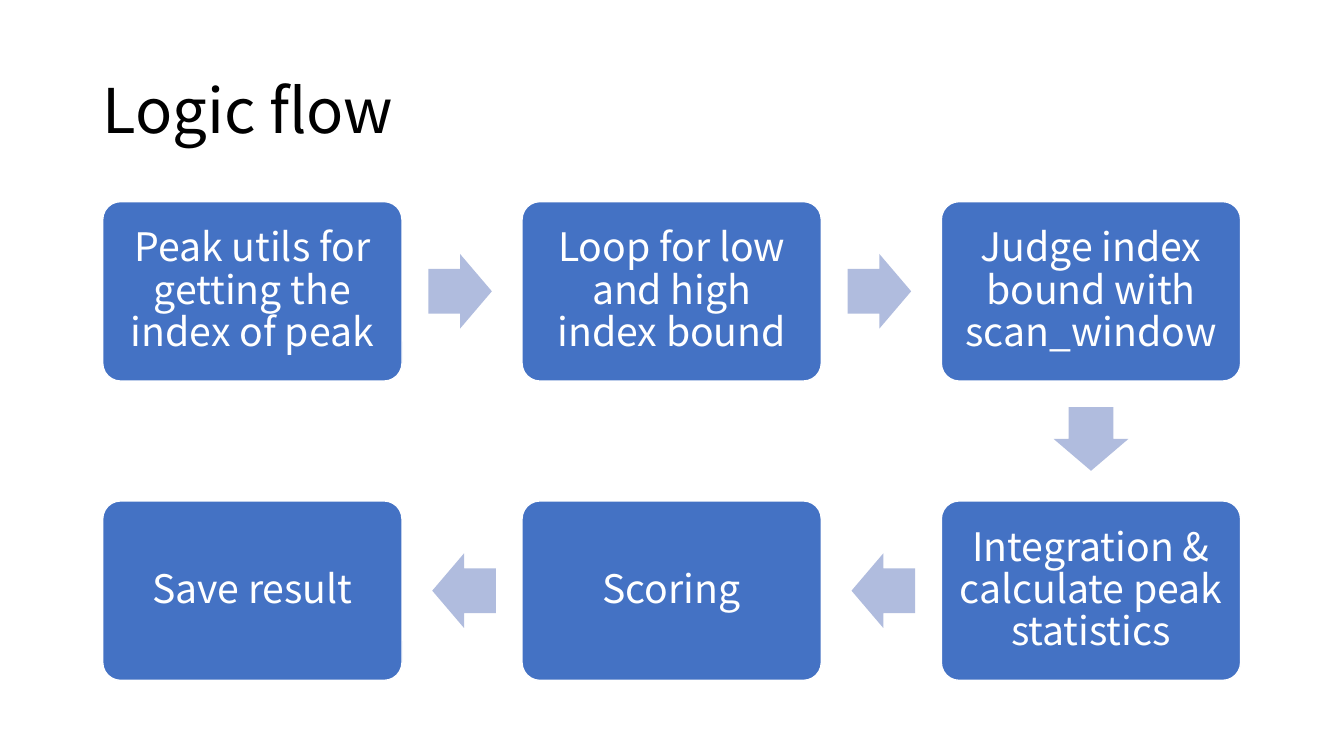
from math import atan2, cos, degrees, sin

from pptx import Presentation
from pptx.dml.color import RGBColor
from pptx.enum.shapes import MSO_SHAPE as Shape
from pptx.enum.text import MSO_ANCHOR as Anchor, MSO_AUTO_SIZE as AutoSize, PP_ALIGN as Align
from pptx.util import Pt

BLACK = RGBColor(0x00, 0x00, 0x00)
WHITE = RGBColor(0xFF, 0xFF, 0xFF)
BLUE = RGBColor(0x44, 0x72, 0xC4)
PALE_BLUE = RGBColor(0xB0, 0xBC, 0xDE)

STEPS = [
    "Peak utils for getting the index of peak",
    "Loop for low and high index bound",
    "Judge index bound with scan_window",
    "Integration & calculate peak statistics",
    "Scoring",
    "Save result",
]
COLUMNS = 3
FIRST_X, FIRST_Y = 180.3, 208.1
COLUMN_STEP, ROW_STEP = 299.5, 213.8
STEP_SIZE = (213.8, 128.2)
ARROW_SIZE = (45.4, 53.3)
ARROW_SETBACK = 1.4


def apply(target, values):
    for name, value in values.items():
        setattr(target, name, value)


def step_center(index):
    """Centre of a step; every second row runs from right to left."""
    row, column = divmod(index, COLUMNS)
    if row % 2:
        column = COLUMNS - 1 - column
    return FIRST_X + column * COLUMN_STEP, FIRST_Y + row * ROW_STEP


class FlowSlide:
    font = "Noto Sans CJK SC"

    def __init__(self, deck):
        self.slide = deck.slides.add_slide(deck.slide_layouts[5])

    def label(self, shape, text, size, color, align, inset):
        frame = shape.text_frame
        frame.text = text
        apply(frame, {
            "word_wrap": True,
            "auto_size": AutoSize.NONE,
            "vertical_anchor": Anchor.MIDDLE,
            "margin_left": Pt(inset),
            "margin_top": Pt(inset),
            "margin_right": Pt(inset),
            "margin_bottom": Pt(inset),
        })
        paragraph = frame.paragraphs[0]
        apply(paragraph, {"alignment": align, "line_spacing": 0.9})
        apply(paragraph.font, {"name": self.font, "size": Pt(size)})
        paragraph.font.color.rgb = color

    def title(self, text):
        heading = self.slide.shapes.title
        apply(heading, {"left": Pt(66), "top": Pt(28.8), "width": Pt(828), "height": Pt(104.4)})
        self.label(heading, text, 44, BLACK, Align.LEFT, 7.2)

    def block(self, kind, center, size, color):
        """Add a filled shape around its centre."""
        (x, y), (width, height) = center, size
        block = self.slide.shapes.add_shape(
            kind, Pt(x - width / 2), Pt(y - height / 2), Pt(width), Pt(height))
        block.shadow.inherit = False
        block.fill.solid()
        block.fill.fore_color.rgb = color
        return block

    def step(self, center, text):
        box = self.block(Shape.ROUNDED_RECTANGLE, center, STEP_SIZE, BLUE)
        box.adjustments[0] = 0.1
        box.line.color.rgb = WHITE
        box.line.width = Pt(1)
        self.label(box, text, 28, WHITE, Align.CENTER, 8.64)

    def arrow(self, start, end):
        """Add an arrow midway between two steps, set slightly back towards the first."""
        angle = atan2(end[1] - start[1], end[0] - start[0])
        center = ((start[0] + end[0]) / 2 - ARROW_SETBACK * cos(angle),
                  (start[1] + end[1]) / 2 - ARROW_SETBACK * sin(angle))
        arrow = self.block(Shape.RIGHT_ARROW, center, ARROW_SIZE, PALE_BLUE)
        arrow.adjustments[0] = 0.6
        arrow.adjustments[1] = 0.5
        arrow.line.fill.background()
        arrow.rotation = degrees(angle)


def main():
    deck = Presentation()
    apply(deck, {"slide_width": Pt(960), "slide_height": Pt(540)})
    flow = FlowSlide(deck)
    flow.title("Logic flow")
    for index, text in enumerate(STEPS):
        if index:
            flow.arrow(step_center(index - 1), step_center(index))
        flow.step(step_center(index), text)
    deck.save("out.pptx")


if __name__ == "__main__":
    main()
